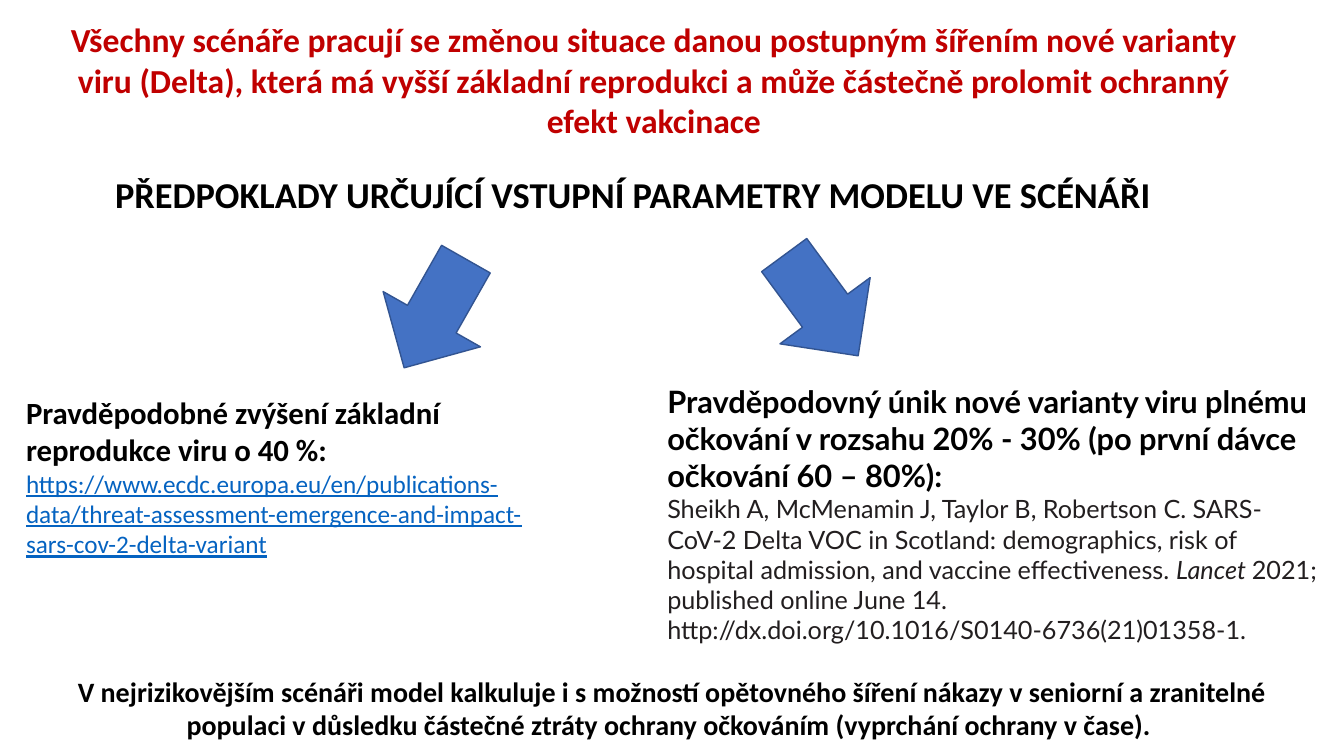
from pptx import Presentation
from pptx.dml.color import RGBColor
from pptx.enum.shapes import MSO_SHAPE
from pptx.enum.text import PP_ALIGN
from pptx.util import Inches, Pt

DOWN_ARROW = MSO_SHAPE.DOWN_ARROW
LEFT, CENTER = PP_ALIGN.LEFT, PP_ALIGN.CENTER

COLORS = {
    "black": "000000",
    "red": "C00000",
    "link": "0563C1",
    "citation": "221E1F",
    "arrow": "4472C4",
    "arrow_edge": "325491",
}


def color(name):
    return RGBColor.from_string(COLORS[name])


def add_run(paragraph, text, size, color_name="black", font="Calibri",
            bold=False, italic=False, underline=False):
    run = paragraph.add_run()
    run.text = text
    run.font.name = font
    run.font.size = Pt(size)
    run.font.bold = bold
    run.font.italic = italic
    run.font.underline = underline
    run.font.color.rgb = color(color_name)


def add_text_frame(slide, left, top, width, height):
    box = slide.shapes.add_textbox(
        Inches(left), Inches(top), Inches(width), Inches(height))
    box.text_frame.word_wrap = True
    return box.text_frame


def add_statement(slide, bounds, text, size, color_name="black"):
    """Add a centred bold sentence."""
    paragraph = add_text_frame(slide, *bounds).paragraphs[0]
    paragraph.alignment = CENTER
    add_run(paragraph, text, size, color_name, bold=True)


def add_arrow(slide, left, top, rotation):
    arrow = slide.shapes.add_shape(
        DOWN_ARROW, Inches(left), Inches(top), Inches(1.11), Inches(1.24))
    arrow.rotation = rotation
    arrow.shadow.inherit = False
    arrow.fill.solid()
    arrow.fill.fore_color.rgb = color("arrow")
    arrow.line.color.rgb = color("arrow_edge")
    arrow.line.width = Pt(1)


def add_reproduction_assumption(slide):
    paragraph = add_text_frame(slide, 0.16, 3.86, 5.37, 1.75).paragraphs[0]
    paragraph.alignment = LEFT
    add_run(paragraph, "Pravděpodobné zvýšení základní reprodukce viru o 40 %: ",
            22, bold=True)
    add_run(paragraph,
            "https://www.ecdc.europa.eu/en/publications-data/"
            "threat-assessment-emergence-and-impact-sars-cov-2-delta-variant",
            18, "link", underline=True)


def add_vaccine_escape_assumption(slide):
    frame = add_text_frame(slide, 6.52, 3.75, 6.67, 2.73)
    claim = frame.paragraphs[0]
    add_run(claim,
            "Pravděpodovný únik nové varianty viru plnému očkování v rozsahu "
            "20% - 30% (po první dávce očkování 60 – 80%):",
            22, font="Lato", bold=True)
    citation = frame.add_paragraph()
    citation_parts = [
        ("Sheikh A, McMenamin J, Taylor B, Robertson C. SARS-CoV-2 Delta VOC in "
         "Scotland: demographics, risk of hospital admission, and vaccine "
         "effectiveness. ", False),
        ("Lancet ", True),
        ("2021; published online June 14. "
         "http://dx.doi.org/10.1016/S0140-6736(21)01358-1.", False),
    ]
    for text, italic in citation_parts:
        add_run(citation, text, 18, "citation", "Lato", italic=italic)


def main():
    prs = Presentation()
    prs.slide_width = Inches(13.33)
    prs.slide_height = Inches(7.5)
    slide = prs.slides.add_slide(prs.slide_layouts[6])

    add_statement(
        slide, (0.38, 0.14, 12.21, 1.31),
        "Všechny scénáře pracují se změnou situace danou postupným šířením nové "
        "varianty viru (Delta), která má vyšší základní reprodukci a může "
        "částečně prolomit ochranný efekt vakcinace", 24, "red")
    add_statement(
        slide, (0.05, 1.66, 12.55, 0.54),
        "PŘEDPOKLADY URČUJÍCÍ VSTUPNÍ PARAMETRY MODELU VE SCÉNÁŘI ", 26)
    add_arrow(slide, 3.76, 2.49, 29.6)
    add_arrow(slide, 7.59, 2.41, 323.7)
    add_reproduction_assumption(slide)
    add_vaccine_escape_assumption(slide)
    add_statement(
        slide, (0.39, 6.64, 12.55, 0.77),
        "V nejrizikovějším scénáři model kalkuluje i s možností opětovného "
        "šíření nákazy v seniorní a zranitelné populaci v důsledku částečné "
        "ztráty ochrany očkováním (vyprchání ochrany v čase). ", 20)

    prs.save("out.pptx")


if __name__ == "__main__":
    main()
